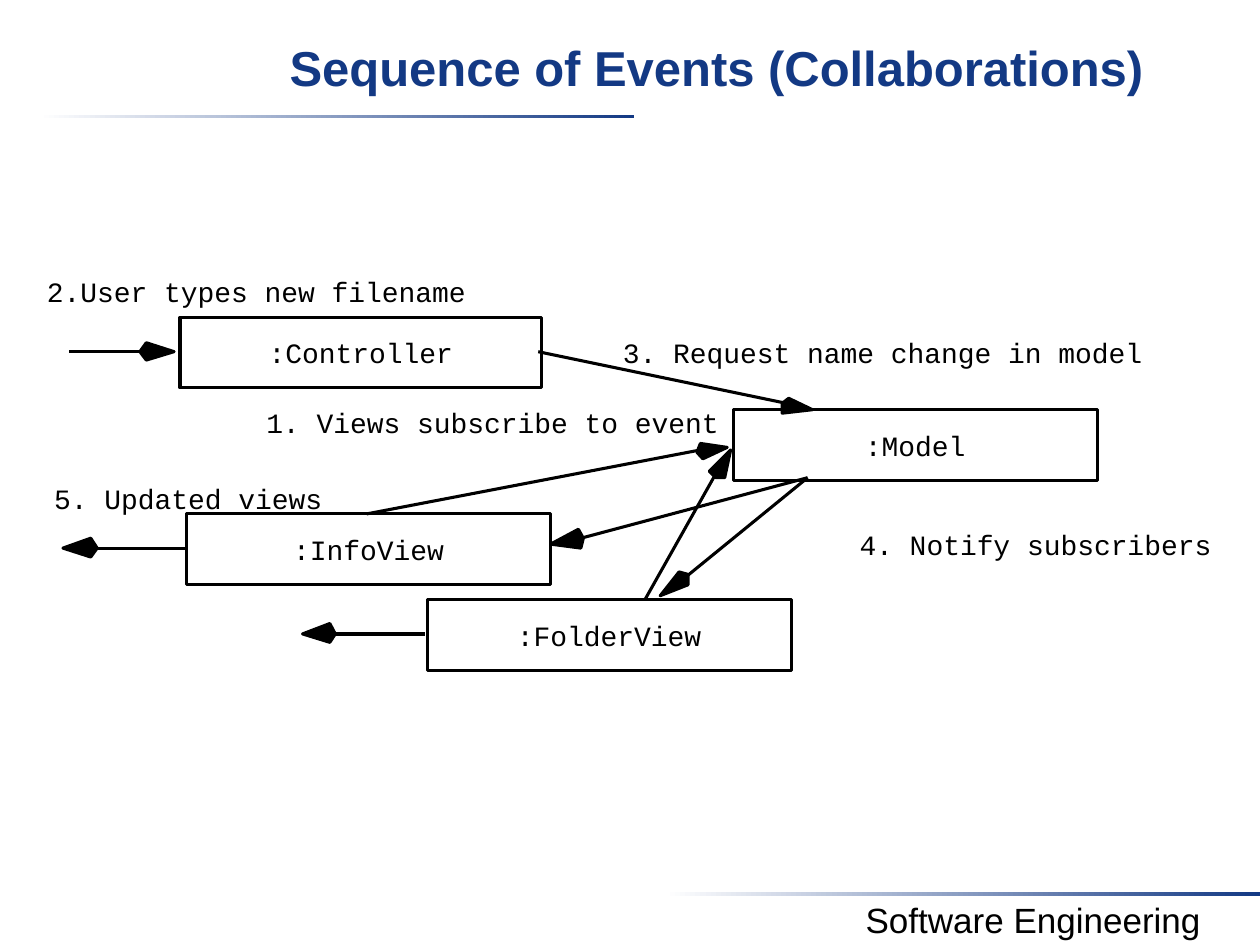
from pptx import Presentation
from pptx.dml.color import RGBColor
from pptx.enum.shapes import MSO_CONNECTOR as LINK, MSO_SHAPE as SHAPE
from pptx.enum.text import MSO_ANCHOR as ANCHOR, PP_ALIGN as ALIGN
from pptx.oxml.ns import qn
from pptx.util import Cm, Pt
from lxml.etree import SubElement

INK, NAVY, WHITE = "000000", "133984", "FFFFFF"
STROKE = Pt(1.75)


def color(value):
    return RGBColor.from_string(value)


def write(frame, text, size, font, ink=INK, bold=False):
    frame.margin_left = frame.margin_right = 0
    frame.margin_top = frame.margin_bottom = 0
    line = frame.paragraphs[0]
    line.text = text
    line.alignment = ALIGN.CENTER
    line.font.size, line.font.name, line.font.bold = Pt(size), font, bold
    line.font.color.rgb = color(ink)


prs = Presentation()
prs.slide_width, prs.slide_height = Cm(25.4), Cm(19.05)
shapes = prs.slides.add_slide(prs.slide_layouts[6]).shapes

# Fading rules under the title and above the footer
for left, top in [(0.79, 2.31), (13.41, 17.98)]:
    rule = shapes.add_shape(SHAPE.RECTANGLE, Cm(left), Cm(top), Cm(11.99), Cm(0.08))
    rule.shadow.inherit = False
    rule.line.fill.background()
    rule.fill.gradient()
    rule.fill.gradient_angle = 0
    for stop, shade in zip(rule.fill.gradient_stops, (WHITE, NAVY)):
        stop.color.rgb = color(shade)
    for stop, position in zip(rule.fill.gradient_stops, (0, 1)):
        stop.position = position

# Title and footer
title = shapes.add_textbox(Cm(3.76), Cm(0.51), Cm(21.64), Cm(1.9)).text_frame
title.word_wrap = True
write(title, "Sequence of Events (Collaborations) ", 28, "Arial", NAVY, True)
title.margin_top = Cm(0.24)

footer = shapes.add_textbox(Cm(16.26), Cm(17.98), Cm(9.14), Cm(1.12)).text_frame
footer.word_wrap = True
write(footer, "Software Engineering", 20, "Arial")
footer.margin_top = Cm(0.13)

# Objects: name, left, top, width
objects = [
    (":Controller", 3.63, 6.4, 7.29),
    (":InfoView", 3.76, 10.36, 7.34),
    (":Model", 14.78, 8.26, 7.34),
    (":FolderView", 8.61, 12.09, 7.34),
]
for name, left, top, width in objects:
    box = shapes.add_shape(SHAPE.RECTANGLE, Cm(left), Cm(top), Cm(width), Cm(1.42))
    box.shadow.inherit = False
    box.fill.solid()
    box.fill.fore_color.rgb = color(WHITE)
    box.line.color.rgb = color(INK)
    box.line.width = STROKE
    write(box.text_frame, name, 16, "Courier New")
    box.text_frame.vertical_anchor = ANCHOR.MIDDLE

# Messages: start and end of the line, then the outline of its arrowhead
messages = [
    # Controller to Model
    ((10.85, 7.09), (15.85, 8.13),
     [(15.77, 8.13), (15.9, 8.03), (16.38, 8.26), (15.77, 8.33)]),
    # Model to InfoView
    ((16.28, 9.63), (11.71, 10.85),
     [(11.76, 10.85), (11.71, 11.05), (11.1, 10.97), (11.66, 10.67)]),
    # Model to FolderView
    ((16.28, 9.63), (13.79, 11.66),
     [(13.87, 11.58), (13.87, 11.79), (13.31, 12.01), (13.69, 11.53)]),
    # FolderView to Model
    ((13, 12.09), (14.43, 9.55),
     [(14.43, 9.63), (14.3, 9.5), (14.73, 9.07), (14.61, 9.63)]),
    # InfoView to Model
    ((7.39, 10.36), (14.12, 9.07),
     [(14.05, 9.12), (14.12, 8.94), (14.66, 9.02), (14.17, 9.25)]),
    # User to Controller
    ((1.4, 7.09), (2.9, 7.09),
     [(2.82, 7.09), (2.95, 6.91), (3.51, 7.09), (2.95, 7.26)]),
    # InfoView to user
    ((3.76, 11.05), (1.91, 11.05),
     [(1.96, 11.05), (1.83, 11.23), (1.27, 11.05), (1.83, 10.85)]),
    # FolderView to user
    ((8.56, 12.78), (6.71, 12.78),
     [(6.76, 12.78), (6.65, 12.95), (6.1, 12.78), (6.65, 12.57)]),
]
for start, end, outline in messages:
    shaft = shapes.add_connector(LINK.STRAIGHT, *map(Cm, start + end))
    SubElement(shaft.element.spPr, qn("a:effectLst"))

    corners = [(Cm(x), Cm(y)) for x, y in outline]
    builder = shapes.build_freeform(*corners[0])
    builder.add_line_segments(corners[1:], close=True)
    head = builder.convert_to_shape()
    head.shadow.inherit = False
    head.fill.solid()
    head.fill.fore_color.rgb = color(INK)

    for part in (shaft, head):
        part.line.color.rgb = color(INK)
        part.line.width = STROKE

# Steps: text, left, top, width
steps = [
    ("1. Views subscribe to event", 5.36, 8.18, 9.14),
    ("2.User types new filename", 0.94, 5.54, 8.46),
    ("3. Request name change in model", 12.55, 6.76, 10.49),
    ("4. Notify subscribers", 17.32, 10.64, 7.11),
    ("5. Updated views", 1.09, 9.7, 5.41),
]
for text, left, top, width in steps:
    step = shapes.add_textbox(Cm(left), Cm(top), Cm(width), Cm(0.69)).text_frame
    step.word_wrap = False
    write(step, text, 16, "Courier New")

prs.save("out.pptx")
